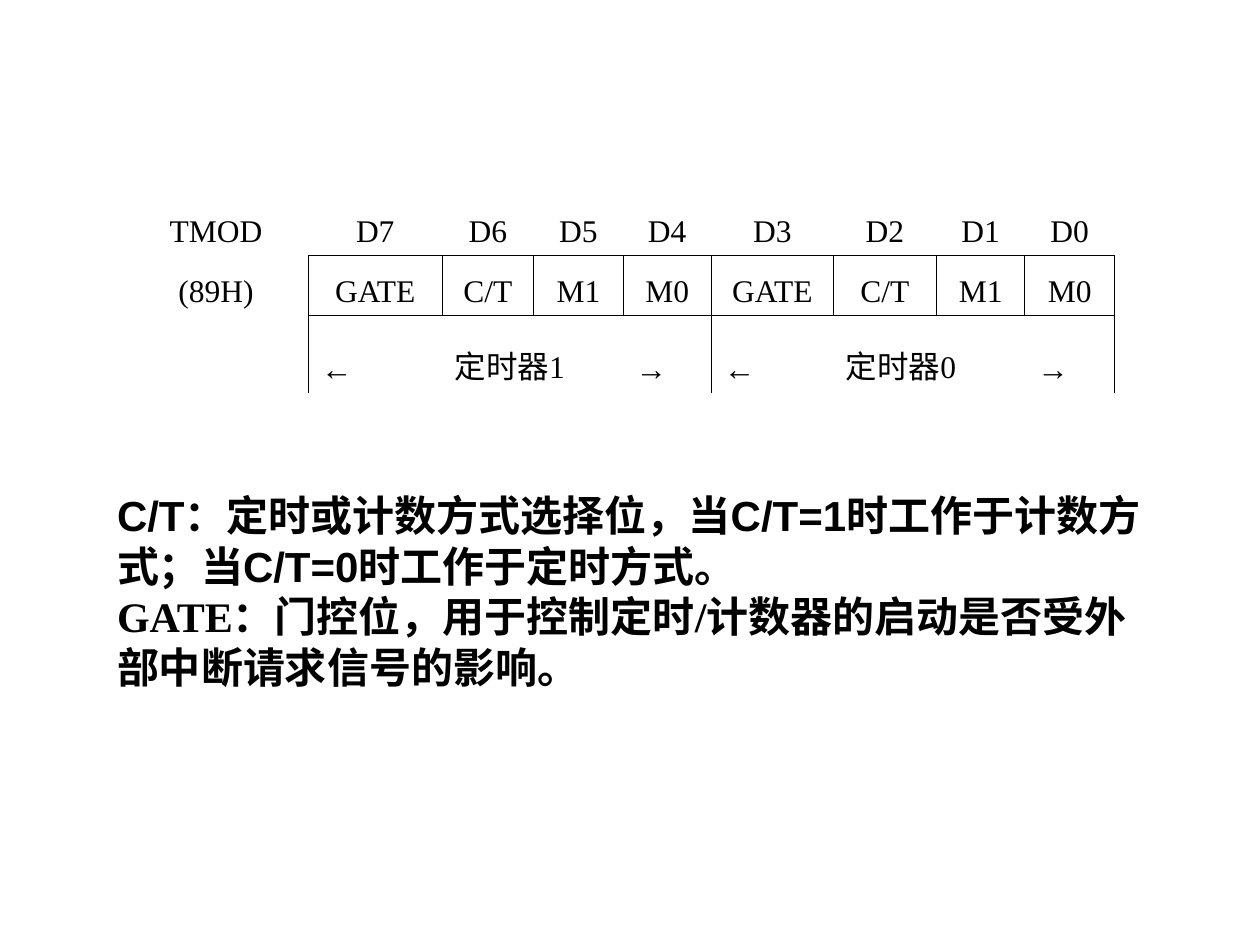
from dataclasses import dataclass

from lxml.etree import SubElement
from pptx import Presentation
from pptx.dml.color import RGBColor
from pptx.enum.text import MSO_ANCHOR as Anchor, MSO_AUTO_SIZE as AutoSize, PP_ALIGN as Align
from pptx.oxml.ns import qn
from pptx.util import Cm, Pt


@dataclass(frozen=True)
class Theme:
    ink: str = "000000"
    serif: str = "Times New Roman"
    sans: str = "Arial"
    table_size: float = 18
    body_size: float = 24
    rule_width: float = 0.45


@dataclass(frozen=True)
class Box:
    left: float
    top: float
    width: float
    height: float

    def lengths(self):
        return Cm(self.left), Cm(self.top), Cm(self.width), Cm(self.height)


THEME = Theme()
REGISTER_BOX = Box(2.49, 3.94, 19.98, 3.99)
NOTES_BOX = Box(2.11, 9.75, 21.62, 4.32)

COLUMN_WIDTHS = [3.73, 2.69, 1.85, 1.8, 1.78, 2.46, 2.08, 1.78, 1.81]
ROW_HEIGHTS = [1.21, 1.21, 1.57]
FIELDS = ["GATE", "C/T", "M1", "M0"]
REGISTER_ROWS = [
    ["TMOD"] + [f"D{bit}" for bit in range(7, -1, -1)],
    ["(89H)"] + FIELDS * 2,
    ["", "←", "定时器1", "", "→", "←", "定时器0", "", "→"],
]
TIMER_EDGES = (1, 5, 9)
NOTES = [
    ("C/T：定时或计数方式选择位，当C/T=1时工作于计数方式；当C/T=0时工作于定时方式。", THEME.sans),
    ("GATE：门控位，用于控制定时/计数器的启动是否受外部中断请求信号的影响。", THEME.serif),
]


def format_runs(paragraph, font_name, size, bold=False):
    for run in paragraph.runs:
        run.font.name = font_name
        run.font.size = Pt(size)
        run.font.bold = bold
        run.font.color.rgb = RGBColor.from_string(THEME.ink)


def ruled_vertical(row, edge):
    return (row == 1 and edge >= 1) or (row == 2 and edge in TIMER_EDGES)


def ruled_horizontal(edge, column):
    return edge in (1, 2) and column >= 1


def set_borders(cell, row, column):
    sides = {
        "a:lnL": ruled_vertical(row, column),
        "a:lnR": ruled_vertical(row, column + 1),
        "a:lnT": ruled_horizontal(row, column),
        "a:lnB": ruled_horizontal(row + 1, column),
    }
    properties = cell._tc.get_or_add_tcPr()
    for tag, ruled in sides.items():
        line = SubElement(properties, qn(tag), w=str(Pt(THEME.rule_width)))
        if ruled:
            fill = SubElement(line, qn("a:solidFill"))
            SubElement(fill, qn("a:srgbClr"), val=THEME.ink)
        else:
            SubElement(line, qn("a:noFill"))


def add_register_table(slide, box):
    shape = slide.shapes.add_table(len(ROW_HEIGHTS), len(COLUMN_WIDTHS), *box.lengths())
    table = shape.table
    table.first_row = table.horz_banding = False
    total_width, total_height = sum(COLUMN_WIDTHS), sum(ROW_HEIGHTS)
    for column, width in zip(table.columns, COLUMN_WIDTHS):
        column.width = Cm(box.width * width / total_width)
    for row, height in zip(table.rows, ROW_HEIGHTS):
        row.height = Cm(box.height * height / total_height)
    for first in TIMER_EDGES[:-1]:
        table.cell(2, first + 1).merge(table.cell(2, first + 2))
    for row, labels in enumerate(REGISTER_ROWS):
        for column, label in enumerate(labels):
            cell = table.cell(row, column)
            set_borders(cell, row, column)
            cell.fill.background()
            cell.vertical_anchor = Anchor.BOTTOM
            cell.text_frame.text = label
            paragraph = cell.text_frame.paragraphs[0]
            paragraph.alignment = Align.LEFT if row == 2 else Align.CENTER
            format_runs(paragraph, THEME.serif, THEME.table_size)


def add_notes(slide, box):
    text_frame = slide.shapes.add_textbox(*box.lengths()).text_frame
    text_frame.word_wrap = True
    text_frame.auto_size = AutoSize.SHAPE_TO_FIT_TEXT
    text_frame.vertical_anchor = Anchor.MIDDLE
    text_frame.text = "\n".join(text for text, _ in NOTES)
    for paragraph, (_, font_name) in zip(text_frame.paragraphs, NOTES):
        format_runs(paragraph, font_name, THEME.body_size, bold=True)


def main():
    presentation = Presentation()
    presentation.slide_width, presentation.slide_height = Cm(25.4), Cm(19.05)
    slide = presentation.slides.add_slide(presentation.slide_layouts[6])
    add_notes(slide, NOTES_BOX)
    add_register_table(slide, REGISTER_BOX)
    presentation.save("out.pptx")


if __name__ == "__main__":
    main()
